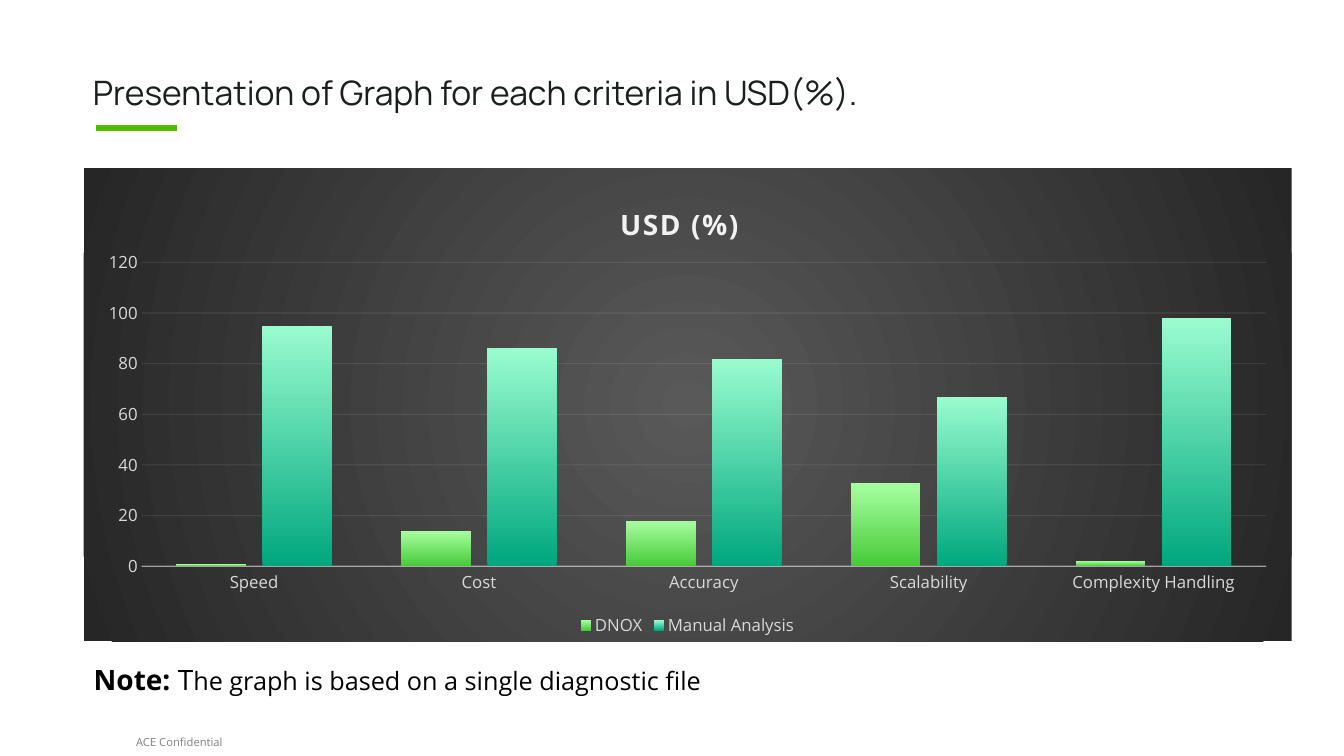
"""Build a slide comparing analysis criteria in a clustered column chart."""
from dataclasses import dataclass

from lxml import etree
from pptx import Presentation
from pptx import util as u
from pptx.chart.data import CategoryChartData
from pptx.dml.color import RGBColor
from pptx.enum import chart as charts, shapes, text
from pptx.oxml import parse_xml
from pptx.oxml.ns import nsdecls, qn

INK = RGBColor(0x1B, 0x1E, 0x1F)
BLACK = RGBColor(0, 0, 0)
GREY = RGBColor(0x80, 0x80, 0x80)
LABEL = RGBColor(0xD9, 0xD9, 0xD9)
PALE = RGBColor(0xF2, 0xF2, 0xF2)
ACCENT = RGBColor(0x54, 0xB9, 0x00)
CHART_CENTRE = RGBColor(0x59, 0x59, 0x59)
CHART_EDGE = RGBColor(0x26, 0x26, 0x26)
BODY_FONT = "Open Sans"
TITLE_FONT = "Manrope"
CRITERIA = ("Speed", "Cost", "Accuracy", "Scalability", "Complexity Handling")


@dataclass
class Series:
    name: str
    values: tuple[int, ...]
    bottom: RGBColor
    top: RGBColor


@dataclass
class Run:
    words: str
    size: float
    bold: bool = False
    color: RGBColor = BLACK
    font: str = BODY_FONT


SERIES = (
    Series("DNOX", (1, 14, 18, 33, 2), RGBColor(0x47, 0xCA, 0x37), RGBColor(0xA7, 0xFF, 0xA2)),
    Series("Manual Analysis", (95, 86, 82, 67, 98), RGBColor(0x00, 0xA7, 0x7E), RGBColor(0x99, 0xFC, 0xCF)),
)


def format_font(font, size: float, color: RGBColor, bold: bool = False, name: str = BODY_FONT) -> None:
    font.name = name
    font.size = u.Pt(size)
    font.bold = bold
    font.color.rgb = color


def place(shape, left: float, top: float, width: float, height: float) -> None:
    shape.left, shape.top = u.Inches(left), u.Inches(top)
    shape.width, shape.height = u.Inches(width), u.Inches(height)


def write(shape, runs: tuple[Run, ...], anchor, left_inset: float) -> None:
    frame = shape.text_frame
    frame.word_wrap = True
    frame.auto_size = text.MSO_AUTO_SIZE.NONE
    frame.vertical_anchor = anchor
    frame.margin_left = u.Inches(left_inset)
    paragraph = frame.paragraphs[0]
    paragraph.alignment = text.PP_ALIGN.LEFT
    for item in runs:
        run = paragraph.add_run()
        run.text = item.words
        format_font(run.font, item.size, item.color, item.bold, item.font)


def add_text(slide, box: tuple[float, ...], runs: tuple[Run, ...], anchor, left_inset: float) -> None:
    shape = slide.shapes.add_textbox(*map(u.Inches, box))
    write(shape, runs, anchor, left_inset)


def format_line(line, color: RGBColor, width: float, opacity: int) -> None:
    line.color.rgb = color
    line.width = u.Pt(width)
    color_element = line.fill._xPr.find(".//" + qn("a:srgbClr"))
    etree.SubElement(color_element, qn("a:alpha"), val=str(opacity * 1000))


def set_layout(element, index: int, **fractions: float) -> None:
    for layout in element.findall(qn("c:layout")):
        element.remove(layout)
    layout = parse_xml(f'<c:layout {nsdecls("c")}><c:manualLayout/></c:layout>')
    manual = layout[0]
    if "w" in fractions:
        etree.SubElement(manual, qn("c:layoutTarget"), val="inner")
    for axis in ("x", "y"):
        etree.SubElement(manual, qn(f"c:{axis}Mode"), val="edge")
    for key, value in fractions.items():
        etree.SubElement(manual, qn(f"c:{key}"), val=str(value))
    element.insert(index, layout)


def fill_chart_area(chart) -> None:
    properties = parse_xml(
        f'<c:spPr {nsdecls("c", "a")}><a:gradFill><a:gsLst>'
        f'<a:gs pos="0"><a:srgbClr val="{CHART_CENTRE}"/></a:gs>'
        f'<a:gs pos="100000"><a:srgbClr val="{CHART_EDGE}"/></a:gs></a:gsLst>'
        '<a:path path="circle"><a:fillToRect l="50000" t="50000" r="50000" b="50000"/></a:path>'
        "</a:gradFill><a:ln><a:noFill/></a:ln></c:spPr>"
    )
    chart._chartSpace.find(qn("c:txPr")).addprevious(properties)


def format_axes(chart) -> None:
    for axis in (chart.category_axis, chart.value_axis):
        axis.major_tick_mark = axis.minor_tick_mark = charts.XL_TICK_MARK.NONE
        format_font(axis.tick_labels.font, 12, LABEL)
    format_line(chart.category_axis.format.line, PALE, 1, 54)
    value_axis = chart.value_axis
    value_axis.minimum_scale, value_axis.maximum_scale, value_axis.major_unit = 0, 120, 20
    value_axis.format.line.fill.background()
    value_axis.has_major_gridlines = True
    format_line(value_axis.major_gridlines.format.line, PALE, 0.75, 10)


def add_column_chart(slide) -> None:
    data = CategoryChartData()
    data.categories = CRITERIA
    for series in SERIES:
        data.add_series(series.name, series.values)
    box = map(u.Inches, (0.83, 1.67, 11.98, 4.69))
    chart = slide.shapes.add_chart(charts.XL_CHART_TYPE.COLUMN_CLUSTERED, *box, data).chart
    format_font(chart.font, 10, BLACK)
    fill_chart_area(chart)

    title_frame = chart.chart_title.text_frame
    title_frame.text = "USD (%)"
    title_font = title_frame.paragraphs[0].runs[0].font
    format_font(title_font, 20, PALE, True)
    title_font._element.set("spc", "100")
    set_layout(chart.chart_title._element, 1, x=0.44, y=0.06)
    set_layout(chart._chartSpace.chart.plotArea, 0, x=0.048, y=0.199, w=0.931, h=0.643)

    format_axes(chart)
    chart.has_legend = True
    chart.legend.position = charts.XL_LEGEND_POSITION.BOTTOM
    chart.legend.include_in_layout = False
    format_font(chart.legend.font, 12, LABEL)

    plot = chart.plots[0]
    plot.gap_width, plot.overlap, plot.vary_by_categories = 100, -24, False
    for series, columns in zip(SERIES, plot.series):
        fill = columns.format.fill
        fill.gradient()
        fill.gradient_angle = 90
        for stop, color in zip(fill.gradient_stops, (series.bottom, series.top)):
            stop.color.rgb = color


def add_accent_line(slide) -> None:
    ends = map(u.Inches, (0.95, 1.27, 1.76, 1.27))
    line = slide.shapes.add_connector(shapes.MSO_CONNECTOR.STRAIGHT, *ends)
    line.line.color.rgb = ACCENT
    line.line.width = u.Pt(4.5)
    etree.SubElement(line._element.spPr, qn("a:effectLst"))


def main() -> None:
    presentation = Presentation()
    presentation.slide_width, presentation.slide_height = u.Inches(13.33), u.Inches(7.5)
    slide = presentation.slides.add_slide(presentation.slide_layouts[5])

    title = slide.shapes.title
    place(title, 0.92, 0.22, 11.98, 1.45)
    heading = Run("Presentation of Graph for each criteria in USD(%).", 24, color=INK, font=TITLE_FONT)
    write(title, (heading,), text.MSO_ANCHOR.MIDDLE, 0)
    title.text_frame.paragraphs[0].line_spacing = u.Pt(24)

    footer = Run("ACE Confidential", 8, color=GREY)
    add_text(slide, (1.35, 7.22, 4.5, 0.28), (footer,), text.MSO_ANCHOR.MIDDLE, 0)
    add_column_chart(slide)
    note = (
        Run("Note: ", 20, bold=True),
        Run("T", 20),
        Run("he graph is based on a single diagnostic file", 18),
    )
    add_text(slide, (0.83, 6.52, 6.95, 0.54), note, text.MSO_ANCHOR.TOP, 0.1)
    add_accent_line(slide)
    presentation.save("out.pptx")


if __name__ == "__main__":
    main()
